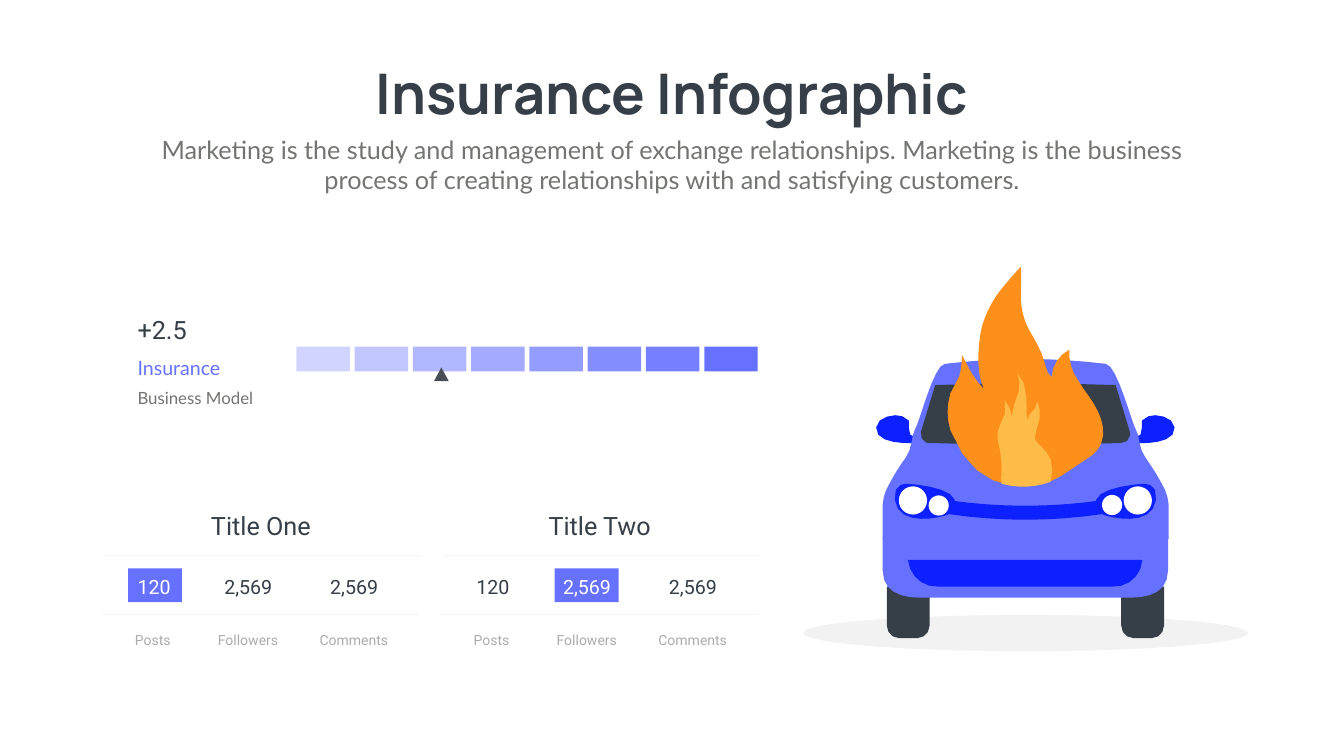
"""Build an insurance infographic slide with a burning car, a scale and two figure panels."""
import math

import lxml.etree
import pptx
import pptx.dml.color
import pptx.enum.shapes
import pptx.enum.text
import pptx.oxml.ns
import pptx.util

Inches = pptx.util.Inches
RGBColor = pptx.dml.color.RGBColor
SHAPES = pptx.enum.shapes.MSO_SHAPE
ALIGN = pptx.enum.text.PP_ALIGN
qn = pptx.oxml.ns.qn

DARK = RGBColor(0x36, 0x3E, 0x48)
GRAY = RGBColor(0x73, 0x75, 0x72)
POINTER = RGBColor(0x4A, 0x4E, 0x57)
SHADOW = RGBColor(0xF2, 0xF2, 0xF2)
WHITE = RGBColor(0xFF, 0xFF, 0xFF)
VIOLET = RGBColor(0x66, 0x72, 0xFF)
BLUE = RGBColor(0x0D, 0x20, 0xFF)
ORANGE = RGBColor(0xFD, 0x90, 0x1A)
YELLOW = RGBColor(0xFD, 0xBB, 0x47)
CAR_CENTER = 20.34

presentation = pptx.Presentation()
presentation.slide_width = Inches(26.66)
presentation.slide_height = Inches(15)
slide = presentation.slides.add_slide(presentation.slide_layouts[6])


def add_text(text, left, top, width, height, size, font="Roboto", color=DARK,
             align=ALIGN.CENTER, bold=False, wrap=True, spacing=None, opacity=100):
    box = slide.shapes.add_textbox(Inches(left), Inches(top), Inches(width), Inches(height))
    box.text_frame.word_wrap = wrap
    paragraph = box.text_frame.paragraphs[0]
    paragraph.alignment = align
    if spacing:
        paragraph.line_spacing = pptx.util.Pt(spacing)
    run = paragraph.add_run()
    run.text = text
    run.font.name = font
    run.font.size = pptx.util.Pt(size)
    run.font.bold = bold
    run.font.color.rgb = color
    if opacity < 100:
        color_element = run._r.find(".//" + qn("a:srgbClr"))
        lxml.etree.SubElement(color_element, qn("a:alpha"), val=str(opacity * 1000))


def add_outline(color, start, segments, mirrored=False):
    points = [start]
    for segment in segments:
        if len(segment) == 2:
            points.append(segment)
            continue
        x0, y0 = points[-1]
        x1, y1, x2, y2, x3, y3 = segment
        length = math.hypot(x1 - x0, y1 - y0) + math.hypot(x2 - x1, y2 - y1) + math.hypot(x3 - x2, y3 - y2)
        steps = max(1, min(8, math.ceil(5 * length)))
        for step in range(1, steps + 1):
            t = step / steps
            a, b, c, d = (1 - t) ** 3, 3 * t * (1 - t) ** 2, 3 * t * t * (1 - t), t ** 3
            points.append((a * x0 + b * x1 + c * x2 + d * x3, a * y0 + b * y1 + c * y2 + d * y3))
    if mirrored:
        points = [(2 * CAR_CENTER - x, y) for x, y in points]
    points = [(Inches(x), Inches(y)) for x, y in points]
    builder = slide.shapes.build_freeform(*points[0])
    builder.add_line_segments(points[1:], close=True)
    shape = builder.convert_to_shape()
    shape.shadow.inherit = False
    shape.fill.solid()
    shape.fill.fore_color.rgb = color
    shape.line.fill.background()


add_text("Insurance Infographic", 6.82, 1.12, 13.02, 1.45, 80, font="Manrope", bold=True, wrap=False)
add_text("Marketing is the study and management of exchange relationships. Marketing is the business "
         "process of creating relationships with and satisfying customers.",
         2.92, 2.61, 20.82, 1.31, 36, font="Lato", color=GRAY)

ground = slide.shapes.add_shape(SHAPES.OVAL, Inches(15.93), Inches(12.2), Inches(8.82), Inches(0.72))
ground.shadow.inherit = False
ground.fill.solid()
ground.fill.fore_color.rgb = SHADOW
ground.line.fill.background()

for mirrored in (False, True):
    add_outline(BLUE, (18.08, 8.79), [
        (18.08, 8.79, 17.35, 8.83, 17.38, 8.48), (17.4, 8.26, 17.77, 8.2, 17.9, 8.26),
        (17.98, 8.3, 18.12, 8.37, 18.03, 8.49), (17.95, 8.6, 18.14, 8.67, 18.14, 8.67)], mirrored)
    add_outline(DARK, (18.2, 12.66), [
        (17.83, 12.66), (17.7, 12.66, 17.59, 12.55, 17.59, 12.41), (17.59, 11.64),
        (18.44, 11.64), (18.44, 12.41), (18.44, 12.55, 18.33, 12.66, 18.2, 12.66)], mirrored)

add_outline(VIOLET, (17.51, 10.66), [
    (17.51, 11.32), (17.51, 11.72, 17.84, 11.86, 18.24, 11.86), (22.43, 11.86),
    (22.84, 11.86, 23.17, 11.72, 23.17, 11.32), (23.17, 10.66)])
add_outline(VIOLET, (23.11, 9.72), [
    (23, 9.5, 22.87, 9.29, 22.73, 9.09), (22.58, 8.92, 22.61, 8.62, 22.53, 8.52),
    (22.46, 8.42, 22.16, 7.25, 21.94, 7.22), (20.88, 7.09, 19.81, 7.09, 18.74, 7.22),
    (18.52, 7.24, 18.23, 8.42, 18.15, 8.52), (18.08, 8.62, 18.1, 8.92, 17.96, 9.09),
    (17.81, 9.29, 17.69, 9.5, 17.58, 9.72), (17.54, 9.81, 17.52, 9.9, 17.51, 10), (17.51, 10.69),
    (18.45, 10.81, 19.4, 10.86, 20.35, 10.86), (21.29, 10.86, 22.24, 10.81, 23.18, 10.69),
    (23.18, 10), (23.17, 9.9, 23.15, 9.81, 23.11, 9.72)])
add_outline(DARK, (20.34, 7.59), [
    (18.55, 7.64), (18.27, 8.56), (18.24, 8.65, 18.29, 8.75, 18.38, 8.79), (18.45, 8.79),
    (20.34, 8.84), (22.23, 8.79), (22.32, 8.8, 22.41, 8.73, 22.42, 8.63), (22.41, 8.56),
    (22.13, 7.64)])
add_outline(BLUE, (18.01, 11.11), [
    (18.04, 11.42, 18.3, 11.66, 18.62, 11.64), (22.06, 11.64),
    (22.38, 11.66, 22.64, 11.42, 22.66, 11.11)])

for mirrored in (False, True):
    add_outline(BLUE, (18.01, 9.6), [
        (18.01, 9.6, 18.86, 9.65, 18.94, 9.92), (19.01, 10.2, 18.71, 10.24, 18.71, 10.24),
        (18.71, 10.24, 17.83, 10.49, 17.75, 9.92), (17.7, 9.56, 18.01, 9.6, 18.01, 9.6)], mirrored)
for left, top, diameter in [(18.42, 9.83, 0.4), (17.83, 9.65, 0.56), (21.86, 9.82, 0.4), (22.29, 9.65, 0.56)]:
    lamp = slide.shapes.add_shape(SHAPES.OVAL, Inches(left), Inches(top), Inches(diameter), Inches(diameter))
    lamp.shadow.inherit = False
    lamp.fill.solid()
    lamp.fill.fore_color.rgb = WHITE
    lamp.line.fill.background()
add_outline(BLUE, (21.87, 10.2), [
    (20.85, 10.35, 19.82, 10.35, 18.81, 10.2), (18.85, 9.93),
    (19.84, 10.07, 20.84, 10.07, 21.83, 9.93)])

add_outline(ORANGE, (21.61, 7.88), [
    (21.49, 7.72, 21.38, 7.55, 21.29, 7.38), (21.23, 7.24, 21.2, 7.09, 21.21, 6.94),
    (21.01, 7.04, 20.87, 7.25, 20.86, 7.48), (20.75, 7.44, 20.76, 7.24, 20.66, 7.01),
    (20.5, 6.64, 20.39, 6.57, 20.31, 6.3), (20.2, 5.96, 20.28, 5.63, 20.25, 5.29),
    (20.07, 5.49), (19.86, 5.74),
    (19.68, 5.96, 19.56, 6.21, 19.48, 6.47), (19.4, 6.81, 19.35, 7.41, 19.52, 7.72),
    (19.31, 7.52, 19.21, 7.28, 19.08, 7.04), (19.08, 7.18, 19.07, 7.32, 19.03, 7.46),
    (18.98, 7.59, 18.9, 7.69, 18.85, 7.81), (18.78, 8.05, 18.78, 8.3, 18.85, 8.53),
    (19.4, 10, 20.69, 9.68, 21.04, 9.45), (21.55, 9.11),
    (21.67, 9.04, 21.78, 8.94, 21.84, 8.81), (21.97, 8.48, 21.79, 8.14, 21.61, 7.88)])
add_outline(YELLOW, (20.53, 8.71), [
    (20.53, 8.66), (20.53, 8.52, 20.61, 8.45, 20.62, 8.32),
    (20.64, 8.19, 20.62, 8.07, 20.58, 7.96), (20.59, 8.13, 20.39, 8.18, 20.37, 8.34),
    (20.36, 7.89), (20.31, 7.61), (20.19, 7.42), (20.23, 7.53, 20.23, 7.65, 20.21, 7.77),
    (20.12, 8.02), (20.07, 8.26), (20.03, 8.1), (19.93, 7.95), (19.94, 8.19), (19.83, 8.45),
    (19.79, 8.53, 19.77, 8.62, 19.79, 8.72), (19.84, 8.96),
    (19.87, 9.13, 19.88, 9.3, 19.86, 9.48), (19.87, 9.6),
    (20.21, 9.69, 20.54, 9.67, 20.84, 9.56), (20.87, 9.33),
    (20.89, 8.94, 20.54, 8.82, 20.53, 8.71)])

columns = [("120", "Posts", 2.28, 1.55, 1.91, 2.24),
           ("2,569", "Followers", 3.91, 2.03, 3.46, 2.92),
           ("2,569", "Comments", 6.01, 2.03, 5.56, 2.92)]
panels = [("Title One", 0, 0, 2.54, 1.07), ("Title Two", 6.72, 1, 11, 1.27)]
for title, offset, active_column, highlight_left, highlight_width in panels:
    highlight = slide.shapes.add_shape(SHAPES.RECTANGLE, Inches(highlight_left), Inches(11.28),
                                       Inches(highlight_width), Inches(0.67))
    highlight.shadow.inherit = False
    highlight.fill.solid()
    highlight.fill.fore_color.rgb = VIOLET
    highlight.line.fill.background()
    add_text(title, 2.28 + offset, 10.07, 5.79, 0.71, 36)
    for column, (value, label, value_left, value_width, label_left, label_width) in enumerate(columns):
        add_text(value, value_left + offset, 11.35, value_width, 0.57, 28,
                 color=WHITE if column == active_column else DARK)
        add_text(label, label_left + offset, 12.48, label_width, 0.44, 20, color=GRAY, opacity=60)
    for left, top in [(2.06, 11.03), (2.03, 12.19)]:
        rule = slide.shapes.add_connector(pptx.enum.shapes.MSO_CONNECTOR.STRAIGHT, Inches(left + offset),
                                          Inches(top), Inches(left + offset + 6.28), Inches(top))
        rule.line.width = pptx.util.Pt(0.75)
        rule.line.color.rgb = DARK
        properties = rule._element.spPr
        lxml.etree.SubElement(properties.find(".//" + qn("a:srgbClr")), qn("a:alpha"), val="10000")
        lxml.etree.SubElement(properties, qn("a:effectLst"))

add_text("+2.5", 2.63, 6.18, 2.04, 0.71, 36, align=ALIGN.LEFT)
add_text("Insurance", 2.63, 6.91, 2.93, 0.62, 28, font="Lato", color=VIOLET, align=ALIGN.LEFT, spacing=40.8)
add_text("Business Model", 2.63, 7.47, 2.93, 0.6, 24, font="Lato", color=GRAY, align=ALIGN.LEFT, spacing=40.8)

scale_parts = [(SHAPES.RECTANGLE, 5.88 + 8.09 * step / 7, 6.88, 1.06, 0.49, VIOLET, 30 + 10 * step)
               for step in range(8)]
scale_parts.append((SHAPES.ISOSCELES_TRIANGLE, 8.61, 7.29, 0.29, 0.27, POINTER, 100))
for kind, left, top, width, height, color, opacity in scale_parts:
    part = slide.shapes.add_shape(kind, Inches(left), Inches(top), Inches(width), Inches(height))
    part.shadow.inherit = False
    part.fill.solid()
    part.fill.fore_color.rgb = color
    part.line.fill.background()
    if opacity < 100:
        color_element = part._element.spPr.find(".//" + qn("a:srgbClr"))
        lxml.etree.SubElement(color_element, qn("a:alpha"), val=str(opacity * 1000))

presentation.save("out.pptx")
